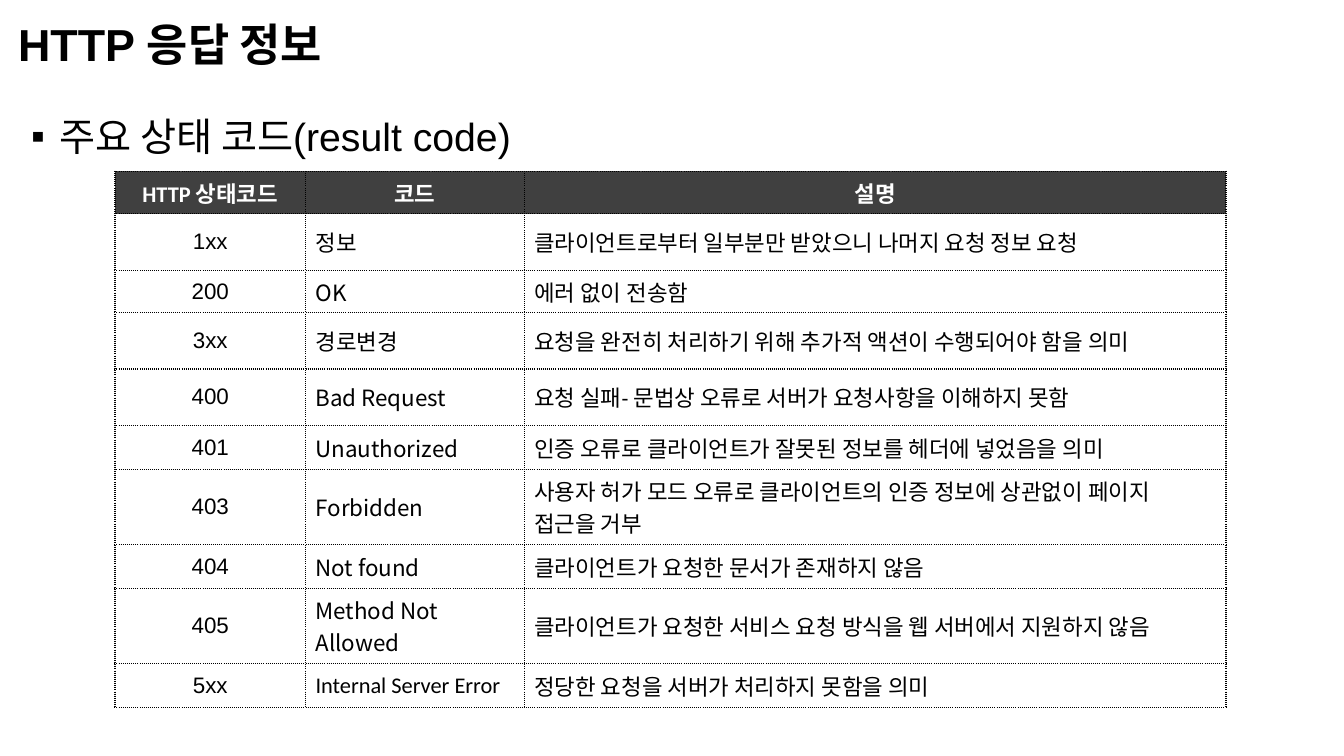
from lxml import etree
from pptx import Presentation
from pptx.dml.color import RGBColor
from pptx.enum.text import MSO_ANCHOR, MSO_AUTO_SIZE, PP_ALIGN
from pptx.oxml.ns import qn
from pptx.util import Inches, Pt

MIDDLE = MSO_ANCHOR.MIDDLE
NO_FIT = MSO_AUTO_SIZE.NONE
LEFT, CENTER = PP_ALIGN.LEFT, PP_ALIGN.CENTER
KOREAN = "Noto Sans CJK KR"


def rgb(value):
    return RGBColor.from_string(value)


def format_run(r, size, name, color="000000", bold=False):
    r.font.size = Pt(size)
    r.font.name = name
    r.font.bold = bold
    r.font.color.rgb = rgb(color)
    etree.SubElement(r.font._element, qn("a:ea"), typeface=KOREAN)


prs = Presentation()
prs.slide_width, prs.slide_height = Inches(13.33), Inches(7.5)
s = prs.slides.add_slide(prs.slide_layouts[5])

title = s.shapes.title
title.text_frame.text = "HTTP 응답 정보"
body = s.shapes.add_textbox(0, 0, 0, 0)
body.text_frame.text = "주요 상태 코드(result code)"

for sp, box, anchor, size, bold in (
    (title, (0.18, 0.16, 13.09, 0.55), MIDDLE, 32, True),
    (body, (0.31, 1.07, 12.51, 6.14), MSO_ANCHOR.TOP, 28, False),
):
    sp.left, sp.top, sp.width, sp.height = [Inches(v) for v in box]
    tf = sp.text_frame
    tf.word_wrap = True
    tf.auto_size = NO_FIT
    tf.vertical_anchor = anchor
    tf.margin_left = tf.margin_right = 0
    tf.margin_top = tf.margin_bottom = Inches(0.05)
    p = tf.paragraphs[0]
    p.alignment = LEFT
    format_run(p.runs[0], size, "Arial", bold=bold)

pPr = body.text_frame.paragraphs[0]._p.get_or_add_pPr()
pPr.set("marL", str(Inches(0.28)))
pPr.set("indent", str(-Inches(0.28)))
etree.SubElement(pPr, qn("a:buFont"), typeface="Arial")
etree.SubElement(pPr, qn("a:buChar"), char="▪")

rows = [
    (0.32, "HTTP 상태코드", "코드", "설명"),
    (0.56, "1xx", "정보", "클라이언트로부터 일부분만 받았으니 나머지 요청 정보 요청"),
    (0.32, "200", "OK", "에러 없이 전송함"),
    (0.56, "3xx", "경로변경", "요청을 완전히 처리하기 위해 추가적 액션이 수행되어야 함을 의미"),
    (0.56, "400", "Bad Request", "요청 실패- 문법상 오류로 서버가 요청사항을 이해하지 못함"),
    (0.44, "401", "Unauthorized", "인증 오류로 클라이언트가 잘못된 정보를 헤더에 넣었음을 의미"),
    (0.44, "403", "Forbidden", "사용자 허가 모드 오류로 클라이언트의 인증 정보에 상관없이 페이지 접근을 거부"),
    (0.44, "404", "Not found", "클라이언트가 요청한 문서가 존재하지 않음"),
    (0.44, "405", "Method Not Allowed", "클라이언트가 요청한 서비스 요청 방식을 웹 서버에서 지원하지 않음"),
    (0.44, "5xx", "Internal Server Error", "정당한 요청을 서버가 처리하지 못함을 의미"),
]
korean_names = {"OK", "Bad Request", "Unauthorized", "Forbidden", "Not found", "Method Not Allowed"}

table = s.shapes.add_table(
    len(rows), 3, Inches(1.14), Inches(1.7), Inches(11.02), Inches(5)
).table
table.horz_banding = False
for column, width in zip(table.columns, (1.89, 2.17, 6.96)):
    column.width = Inches(width)

for i, (height, *texts) in enumerate(rows):
    table.rows[i].height = Inches(height)
    header = i == 0
    for j, text in enumerate(texts):
        cell = table.cell(i, j)
        cell.vertical_anchor = MIDDLE
        tcPr = cell._tc.get_or_add_tcPr()
        for side in ("lnL", "lnR", "lnT", "lnB"):
            ln = etree.SubElement(tcPr, qn(f"a:{side}"), w=str(Pt(1)))
            line_fill = etree.SubElement(ln, qn("a:solidFill"))
            etree.SubElement(line_fill, qn("a:srgbClr"), val="000000")
            etree.SubElement(ln, qn("a:prstDash"), val="sysDot")
        if header:
            cell.fill.solid()
            cell.fill.fore_color.rgb = rgb("404040")
        else:
            cell.fill.background()
        cell.text_frame.text = text
        p = cell.text_frame.paragraphs[0]
        p.alignment = CENTER if header or j == 0 else LEFT
        if j == 0 and not header:
            font = "Arial"
        else:
            font = KOREAN if text in korean_names else "Calibri"
        format_run(p.runs[0], 16, font, "FFFFFF" if header else "000000", header)

prs.save("out.pptx")
